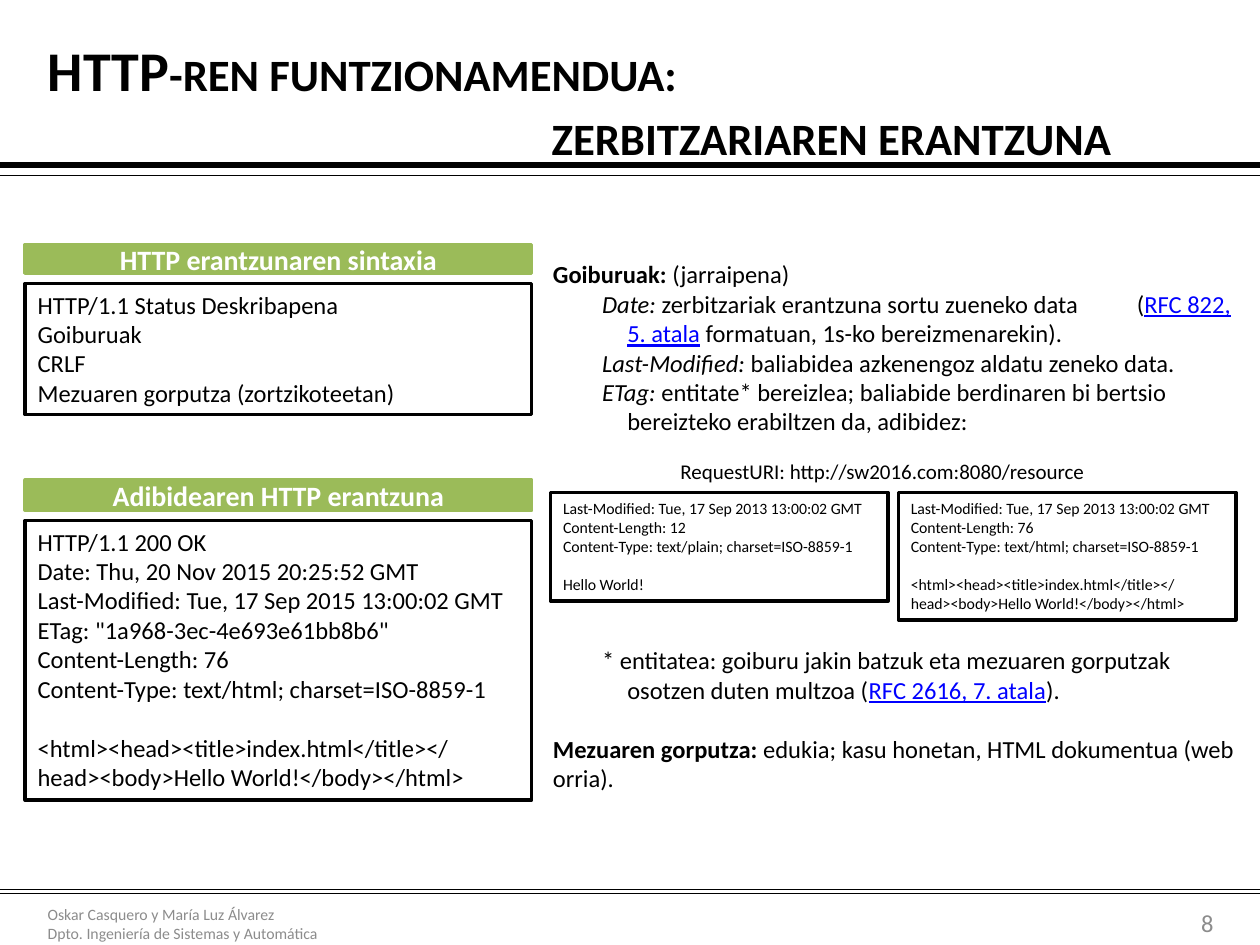
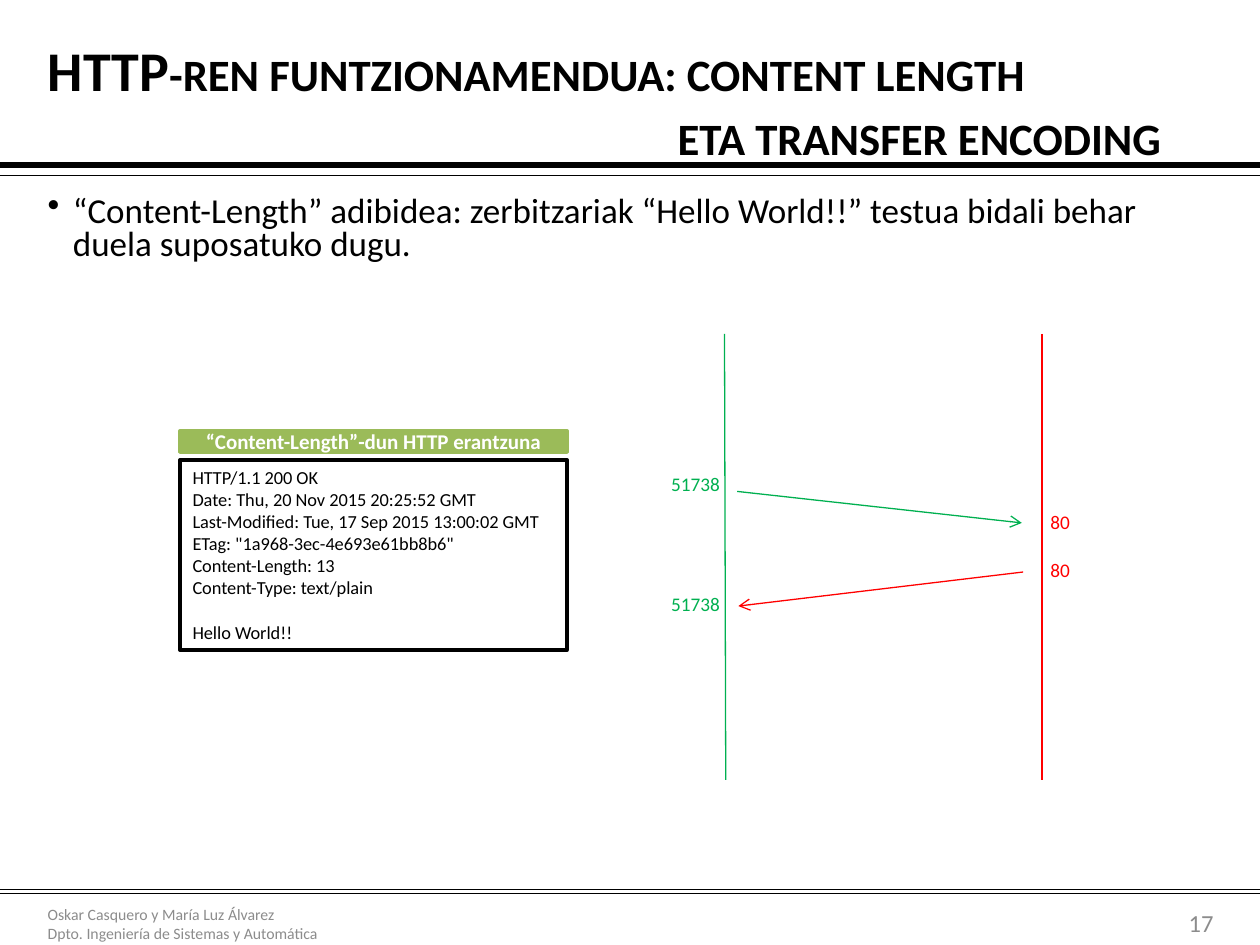
from pptx import Presentation
from pptx.util import Inches, Pt
from pptx.dml.color import RGBColor
from pptx.enum.shapes import MSO_CONNECTOR, MSO_SHAPE
from pptx.enum.text import MSO_ANCHOR, PP_ALIGN
from lxml import etree

COLORS = {name: RGBColor.from_string(value) for name, value in {
    "black": "000000", "white": "FFFFFF", "gray": "8C8C8C", "band": "9BBB59",
    "link": "0000FF", "client": "00B050", "server": "FF0000"}.items()}
FONT = "Calibri"
LINE_HEIGHT = 1.22  # height of a text line, relative to its font size
NAMESPACE = "{http://schemas.openxmlformats.org/drawingml/2006/main}"

presentation = Presentation()
presentation.slide_width, presentation.slide_height = Inches(10), Inches(7.5)


def add_text(slide, box, lines, size, color="black", bold=None, align=PP_ALIGN.LEFT,
             anchor=MSO_ANCHOR.TOP, fill=None, outline=None):
    """Add a rectangle of text; a line is a string or a list of (text, style) runs.

    An empty line becomes space before the next one.
    """
    shape = slide.shapes.add_shape(MSO_SHAPE.RECTANGLE, *map(Inches, box))
    shape.shadow.inherit = False
    if fill:
        shape.fill.solid()
        shape.fill.fore_color.rgb = COLORS[fill]
    else:
        shape.fill.background()
    if outline:
        shape.line.color.rgb = COLORS[outline]
        shape.line.width = Pt(2)
    else:
        shape.line.fill.background()
    frame = shape.text_frame
    frame.word_wrap = True
    frame.vertical_anchor = anchor
    if fill:
        frame.margin_top = frame.margin_bottom = 0
    paragraph, empty_lines = None, 0
    for line in lines:
        if not line:
            empty_lines += 1
            continue
        paragraph = frame.add_paragraph() if paragraph else frame.paragraphs[0]
        paragraph.alignment = align
        paragraph.space_before = Pt(round(empty_lines * size * LINE_HEIGHT, 1))
        empty_lines = 0
        font = paragraph.font
        font.name, font.size, font.bold = FONT, Pt(size), bold
        font.color.rgb = COLORS[color]
        for text, style in [(line, "")] if isinstance(line, str) else line:
            run = paragraph.add_run()
            run.text = text
            if style == "bold":
                run.font.bold = True
            elif style == "italic":
                run.font.italic = True
            elif style == "link":
                run.font.underline = True
                run.font.color.rgb = COLORS["link"]
    return frame


def add_line(slide, start, end, color="black", width=0.25, arrow=False):
    line = slide.shapes.add_connector(MSO_CONNECTOR.STRAIGHT, *map(Inches, start + end))
    line.line.color.rgb = COLORS[color]
    line.line.width = Pt(width)
    properties = line.line._get_or_add_ln()
    if arrow:
        etree.SubElement(properties, NAMESPACE + "tailEnd", type="arrow")
    etree.SubElement(properties.getparent(), NAMESPACE + "effectLst")


# Shared frame: rules, footer, two-line title and page number
slides = []
for first_line, second_line, indent, number in [
        ("HTTP-ren funtzionamendua:", "zerbitzariaren erantzuna", 4, "8"),
        ("HTTP-ren funtzionamendua: content length", "eta transfer encoding", 5, "17")]:
    slide = presentation.slides.add_slide(presentation.slide_layouts[6])
    slides.append(slide)
    for y, width in [(1.31, 3), (1.39, 0.25), (7.06, 0.25), (7.09, 0.25)]:
        add_line(slide, (0, y), (10, y), width=width)
    add_text(slide, (0.28, 7.13, 3.7, 0.4),
             ["Oskar Casquero y María Luz Álvarez", "Dpto. Ingeniería de Sistemas y Automática"],
             9, "gray", anchor=MSO_ANCHOR.MIDDLE)
    title = add_text(slide, (0.28, 0.31, 9.45, 0.98), [first_line, second_line], 32,
                     bold=True, anchor=MSO_ANCHOR.MIDDLE)
    for paragraph in title.paragraphs:
        paragraph.runs[0]._r.get_or_add_rPr().set("cap", "small")
    title.paragraphs[1].line_spacing = Pt(36.6)
    title.paragraphs[1]._p.get_or_add_pPr().set("marL", str(Inches(indent)))
    add_text(slide, (8.94, 7.18, 0.79, 0.28), [number], 14, "gray",
             align=PP_ALIGN.RIGHT, anchor=MSO_ANCHOR.MIDDLE)
response_slide, length_slide = slides

# Message texts
status_lines = ["HTTP/1.1 200 OK", "Date: Thu, 20 Nov 2015 20:25:52 GMT",
                "Last-Modified: Tue, 17 Sep 2015 13:00:02 GMT",
                'ETag: "1a968-3ec-4e693e61bb8b6"']
html_lines = ["Content-Length: 76", "Content-Type: text/html; charset=ISO-8859-1", "",
              "<html><head><title>index.html</title></head><body>Hello World!</body></html>"]
plain_lines = ["Content-Length: 12", "Content-Type: text/plain; charset=ISO-8859-1", "",
               "Hello World!"]
syntax_lines = ["HTTP/1.1 Status Deskribapena", "Goiburuak", "CRLF",
                "Mezuaren gorputza (zortzikoteetan)"]
length_lines = status_lines + ["Content-Length: 13", "Content-Type: text/plain", "",
                               "Hello World!!"]

# Headed message panels of both slides
for slide, left, width, top, band, body_top, body, heading, heading_size, lines, size in [
        (response_slide, 0.2, 4.02, 1.94, 0.23, 2.25, 1.04,
         "HTTP erantzunaren sintaxia", 16, syntax_lines, 14),
        (response_slide, 0.2, 4.02, 3.81, 0.24, 4.13, 2.22,
         "Adibidearen HTTP erantzuna", 16, status_lines + html_lines, 14),
        (length_slide, 1.43, 3.07, 3.42, 0.17, 3.65, 1.51,
         "“Content-Length”-dun HTTP erantzuna", 12, length_lines, 10.5)]:
    add_text(slide, (left, body_top, width, body), lines, size, outline="black")
    add_text(slide, (left, top, width, band), [heading], heading_size, "white", True,
             PP_ALIGN.CENTER, MSO_ANCHOR.MIDDLE, fill="band", outline="band")

# Slide 1: explanation of the headers
explanation = add_text(response_slide, (4.29, 2.01, 5.67, 4.34), [
    [("Goiburuak:", "bold"), (" (jarraipena)", "")],
    [("Date: ", "italic"), ("zerbitzariak erantzuna sortu zueneko data\t (", ""),
     ("RFC 822, 5. atala", "link"), (" formatuan, 1s-ko bereizmenarekin).", "")],
    [("Last-Modified: ", "italic"), ("baliabidea azkenengoz aldatu zeneko data.", "")],
    [("ETag: ", "italic"),
     ("entitate* bereizlea; baliabide berdinaren bi bertsio bereizteko erabiltzen da, adibidez:", "")],
    *[""] * 7,
    [("* entitatea: goiburu jakin batzuk eta mezuaren gorputzak osotzen duten multzoa (", ""),
     ("RFC 2616, 7. atala", "link"), (").", "")],
    "",
    [("Mezuaren gorputza: ", "bold"),
     ("edukia; kasu honetan, HTML dokumentua (web orria).", "")]], 14)
for paragraph in explanation.paragraphs[1:-1]:
    properties = paragraph._p.get_or_add_pPr()
    properties.set("marL", str(Inches(0.59)))
    properties.set("indent", str(Inches(-0.2)))

# Slide 1: two versions of one resource
add_text(response_slide, (4.92, 3.59, 4.17, 0.3),
         ["RequestURI: http://sw2016.com:8080/resource"], 12, align=PP_ALIGN.CENTER)
for left, height, lines in [(4.37, 0.86, plain_lines), (7.13, 1.01, html_lines)]:
    add_text(response_slide, (left, 3.91, 2.68, height),
             ["Last-Modified: Tue, 17 Sep 2013 13:00:02 GMT"] + lines, 9, outline="black")

# Slide 2: bullet
bullet = add_text(length_slide, (0.28, 1.51, 9.45, 5.31),
                  ["“Content-Length” adibidea: zerbitzariak “Hello World!!” testua "
                   "bidali behar duela suposatuko dugu."], 20).paragraphs[0]
bullet.line_spacing = 0.8
bullet.space_before = Pt(4)
properties = bullet._p.get_or_add_pPr()
properties.set("marL", str(Inches(0.2)))
properties.set("indent", str(Inches(-0.2)))
mark = etree.Element(NAMESPACE + "buChar", char="•")
properties.find(NAMESPACE + "defRPr").addprevious(mark)

# Slide 2: client and server lifelines with their messages
add_line(length_slide, (5.75, 2.65), (5.76, 6.19), "client", 0.75)
add_line(length_slide, (8.27, 2.65), (8.27, 6.19), "server", 0.75)
add_line(length_slide, (5.85, 3.9), (8.11, 4.15), "client", 0.75, arrow=True)
add_line(length_slide, (8.12, 4.54), (5.86, 4.81), "server", 0.75, arrow=True)
for left, width, port, color, tops in [(5.19, 0.66, "51738", "client", (3.7, 4.65)),
                                       (8.21, 0.41, "80", "server", (4, 4.38))]:
    for top in tops:
        add_text(length_slide, (left, top, width, 0.29), [port], 11, color,
                 align=PP_ALIGN.CENTER)

presentation.save("out.pptx")
